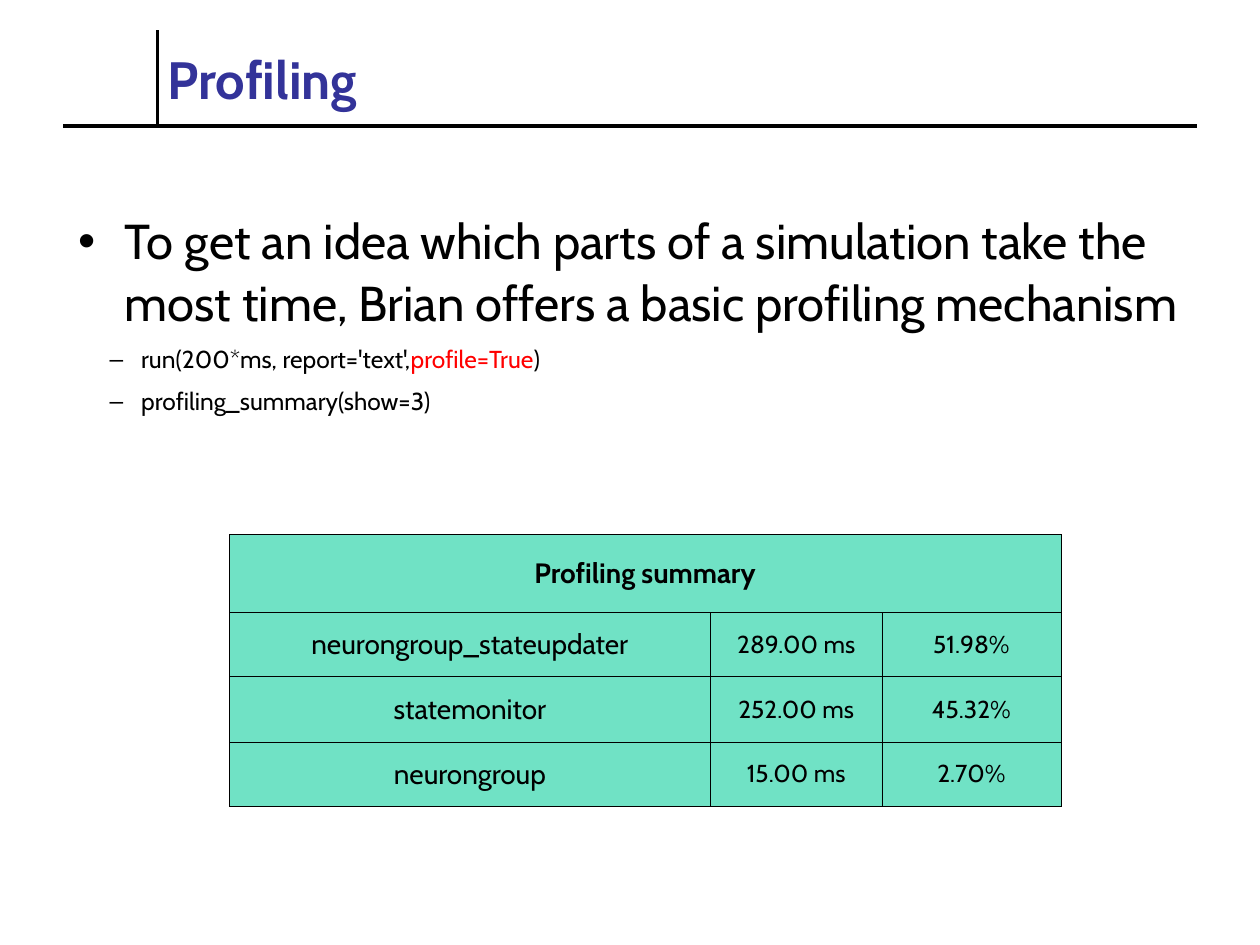
from lxml import etree
from pptx import Presentation
from pptx.dml.color import RGBColor
from pptx.enum import shapes, text
from pptx.oxml import ns
from pptx.util import Inches, Pt

FONT = "Cabin"
BLACK = "000000"
TITLE_BLUE = "333399"
RED = "FF0000"
MINT = "00CC99"
ROWS = [
    ("neurongroup_stateupdater", "289.00 ms", "51.98%"),
    ("statemonitor", "252.00 ms", "45.32%"),
    ("neurongroup", "15.00 ms", "2.70%"),
]


def rgb(value):
    return RGBColor.from_string(value)


def add_child(parent, tag, **attrs):
    child = etree.SubElement(parent, ns.qn(tag))
    for name, value in attrs.items():
        child.set(name, str(value))
    return child


def add_text(p, content, size=14, color=BLACK, bold=False):
    r = p.add_run()
    r.text = content
    r.font.name = FONT
    r.font.size = Pt(size)
    r.font.bold = bold
    r.font.color.rgb = rgb(color)


def clear_margins(tf):
    tf.margin_left = tf.margin_right = tf.margin_top = tf.margin_bottom = 0
    tf.word_wrap = True
    tf.auto_size = text.MSO_AUTO_SIZE.NONE


def add_line(s, x1, y1, x2, y2):
    sp = s.shapes.add_connector(
        shapes.MSO_CONNECTOR.STRAIGHT, Inches(x1), Inches(y1), Inches(x2), Inches(y2)
    )
    sp.line.color.rgb = rgb(BLACK)
    sp.line.width = Pt(2)
    add_child(sp._element.spPr, "a:effectLst")


def set_title(s, content):
    sp = s.shapes.title
    sp.left, sp.top = Inches(1.33), Inches(0.3)
    sp.width, sp.height = Inches(8.16), Inches(0.62)
    tf = sp.text_frame
    clear_margins(tf)
    tf.vertical_anchor = text.MSO_ANCHOR.MIDDLE
    p = tf.paragraphs[0]
    p.alignment = text.PP_ALIGN.LEFT
    p.line_spacing = 1.05
    add_text(p, content, size=30, color=TITLE_BLUE, bold=True)


def format_bullet(p, char, margin, hanging, level=0, before=None):
    p.level = level
    p.line_spacing = 1.05
    if before is not None:
        p.space_before = Pt(before)
    pPr = p._p.get_or_add_pPr()
    pPr.set("marL", str(Inches(margin)))
    pPr.set("indent", str(-Inches(hanging)))
    add_child(add_child(pPr, "a:buClr"), "a:srgbClr", val=BLACK)
    add_child(pPr, "a:buFont", typeface="Arial")
    add_child(pPr, "a:buChar", char=char)


def add_body(s):
    sp = s.shapes.add_textbox(Inches(0.62), Inches(1.65), Inches(8.99), Inches(2.43))
    tf = sp.text_frame
    clear_margins(tf)
    p = tf.paragraphs[0]
    format_bullet(p, "•", 0.37, 0.37)
    add_text(
        p,
        "To get an idea which parts of a simulation take the most time, "
        "Brian offers a basic profiling mechanism",
        size=28,
    )
    code_lines = [
        [("run(200*ms, report='text',", BLACK), ("profile=True", RED), (")", BLACK)],
        [("profiling_summary(show=3)", BLACK)],
    ]
    for parts in code_lines:
        p = tf.add_paragraph()
        format_bullet(p, "–", 0.5, 0.25, level=1, before=6.5)
        for content, color in parts:
            add_text(p, content, color=color)


def format_cell(cell):
    cell.vertical_anchor = text.MSO_ANCHOR.MIDDLE
    tcPr = cell._tc.get_or_add_tcPr()
    for side in ("L", "R", "T", "B"):
        ln = add_child(tcPr, f"a:ln{side}", w=Pt(0.34))
        add_child(add_child(ln, "a:solidFill"), "a:srgbClr", val=BLACK)
    cell.fill.solid()
    cell.fill.fore_color.rgb = rgb(MINT)
    color = tcPr.find(ns.qn("a:solidFill")).find(ns.qn("a:srgbClr"))
    add_child(color, "a:alpha", val=56000)


def fill_cell(cell, content, **style):
    p = cell.text_frame.paragraphs[0]
    p.alignment = text.PP_ALIGN.CENTER
    add_text(p, content, **style)


def add_summary(s):
    table = s.shapes.add_table(
        len(ROWS) + 1, 3, Inches(1.82), Inches(4.24), Inches(6.6), Inches(2.16)
    ).table
    table.first_row = table.horz_banding = False
    for column, width in zip(table.columns, (3.82, 1.36, 1.42)):
        column.width = Inches(width)
    for row, height in zip(table.rows, (0.62, 0.51, 0.52, 0.51)):
        row.height = Inches(height)
    for cell in table.iter_cells():
        format_cell(cell)
    table.cell(0, 0).merge(table.cell(0, 2))
    fill_cell(table.cell(0, 0), "Profiling summary", size=16, bold=True)
    for i, values in enumerate(ROWS, start=1):
        for j, value in enumerate(values):
            fill_cell(table.cell(i, j), value, size=14 if j else 16)


def main():
    prs = Presentation()
    prs.slide_width, prs.slide_height = Inches(10), Inches(7.5)
    s = prs.slides.add_slide(prs.slide_layouts[5])
    add_line(s, 0.5, 1, 9.5, 1)
    add_line(s, 1.25, 1.01, 1.25, 0.24)
    set_title(s, "Profiling")
    add_body(s)
    add_summary(s)
    prs.save("out.pptx")


if __name__ == "__main__":
    main()
